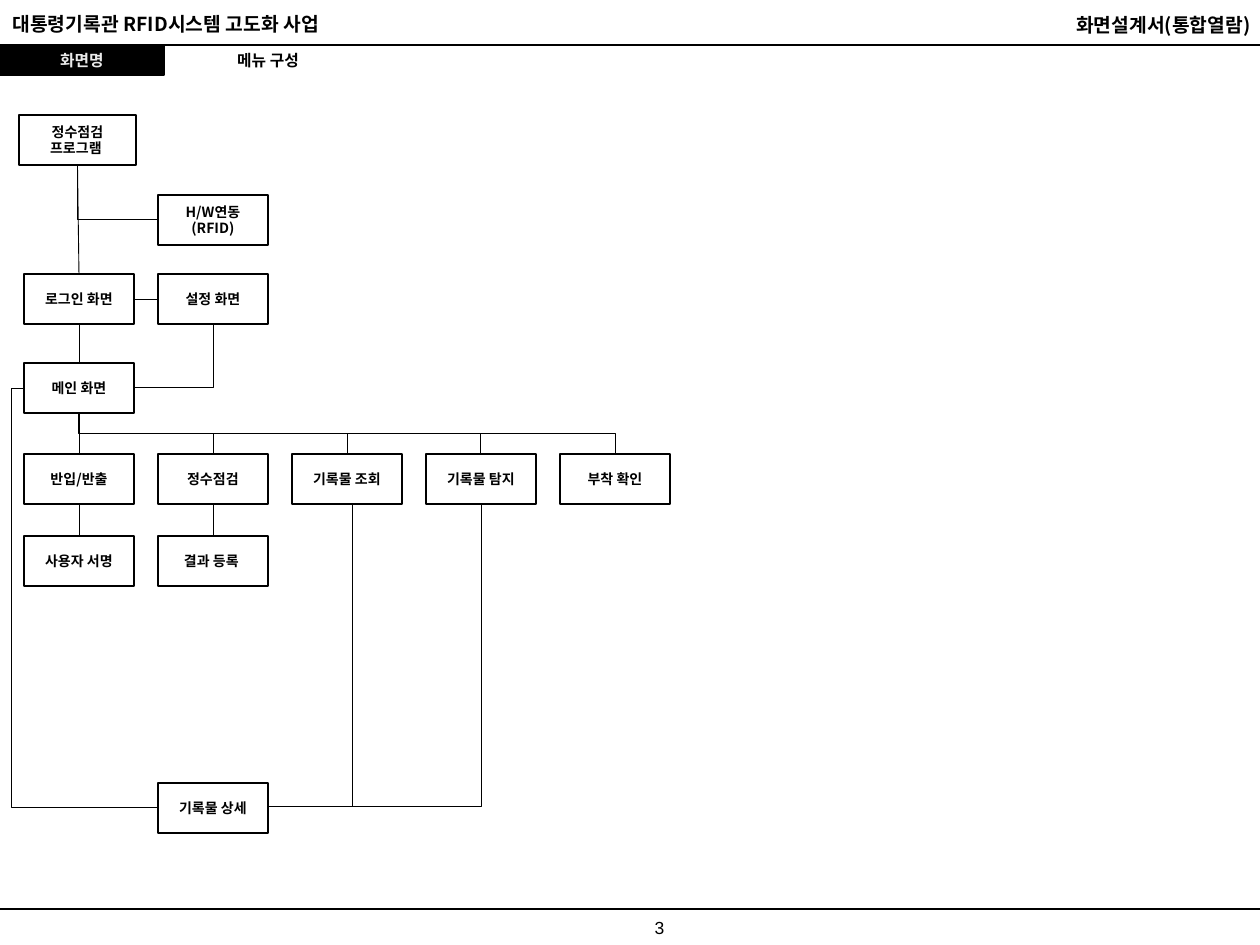
"""Build the menu structure slide of a screen design document."""
from lxml.etree import SubElement
from pptx import Presentation
from pptx.dml.color import RGBColor
from pptx.enum.shapes import MSO_CONNECTOR, MSO_SHAPE
from pptx.enum.text import MSO_ANCHOR, PP_ALIGN
from pptx.oxml.ns import qn
from pptx.util import Emu, Pt

PX = 914400 / 126
COLORS = {"black": "000000", "white": "FFFFFF", "light": "EAEAEA"}
KOREAN = "Noto Sans CJK KR"
LEFT, CENTER, RIGHT = PP_ALIGN.LEFT, PP_ALIGN.CENTER, PP_ALIGN.RIGHT


def write(sp, text, size, color="black", font=KOREAN, bold=True, align=CENTER, anchor=MSO_ANCHOR.MIDDLE):
    tf = sp.text_frame
    tf.text = text
    tf.word_wrap = True
    tf.vertical_anchor = anchor
    for p in tf.paragraphs:
        p.alignment = align
        for r in p.runs:
            r.font.size, r.font.bold, r.font.name = Pt(size), bold, font
            r.font.color.rgb = RGBColor.from_string(COLORS[color])
            SubElement(r.font._element, qn("a:ea")).set("typeface", font)


def connect(kind, points, width=0.5):
    line = s.shapes.add_connector(kind, *[Emu(round(n * PX)) for n in points])
    line.line.color.rgb = RGBColor.from_string(COLORS["black"])
    line.line.width = Pt(width)
    SubElement(line._element.spPr, qn("a:effectLst"))
    return line


prs = Presentation()
prs.slide_width, prs.slide_height = Emu(round(1260 * PX)), Emu(round(945 * PX))
s = prs.slides.add_slide(prs.slide_layouts[5])

for y in (45, 909):
    connect(MSO_CONNECTOR.STRAIGHT, (0, y, 1260, y), 0.75)

labels = [
    ("대통령기록관 RFID시스템 고도화 사업", (0, 6, 561, 37), 11, KOREAN, True, LEFT),
    ("화면설계서(통합열람)", (740, 7, 523, 36), 11, KOREAN, True, RIGHT),
    ("3", (601, 911, 117, 34), 10, "Arial", False, CENTER),
]
for text, area, size, font, bold, align in labels:
    sp = s.shapes.add_textbox(*[Emu(round(n * PX)) for n in area])
    write(sp, text, size, font=font, bold=bold, align=align, anchor=MSO_ANCHOR.TOP)

title = s.shapes.title
title.left, title.top, title.width, title.height = [Emu(round(n * PX)) for n in (164, 45, 208, 31)]
write(title, "메뉴 구성", 9)

COL = [24 + 134 * i for i in range(5)]
W, H = 110, 50
boxes = [
    ("name", "화면명", 0, 45, 164, 30),
    ("program", "정수점검\n프로그램 ", 19, 115, 117, H),
    ("hardware", "H/W연동\n(RFID)", COL[1], 195, W, H),
    ("login", "로그인 화면", COL[0], 274, W, H),
    ("settings", "설정 화면", COL[1], 274, W, H),
    ("main", "메인 화면", COL[0], 363, W, H),
    ("in_out", "반입/반출", COL[0], 454, W, H),
    ("check", "정수점검", COL[1], 454, W, H),
    ("search", "기록물 조회", COL[2], 454, W, H),
    ("detect", "기록물 탐지", COL[3], 454, W, H),
    ("attach", "부착 확인", COL[4], 454, W, H),
    ("sign", "사용자 서명", COL[0], 536, W, H),
    ("result", "결과 등록 ", COL[1], 536, W, H),
    ("detail", "기록물 상세", COL[1], 783, W, H),
]
shapes = {}
for key, text, *area in boxes:
    sp = s.shapes.add_shape(MSO_SHAPE.RECTANGLE, *[Emu(round(n * PX)) for n in area])
    header = key == "name"
    sp.shadow.inherit = False
    sp.fill.solid()
    sp.fill.fore_color.rgb = RGBColor.from_string(COLORS["black" if header else "white"])
    sp.line.color.rgb = RGBColor.from_string(COLORS["black"])
    sp.line.width = Pt(0.75 if header else 1)
    write(sp, text, 9 if header else 8, "light" if header else "black")
    shapes[key] = sp

straight = [
    ("program", 2, "login", 0),
    ("login", 2, "main", 0),
    ("login", 3, "settings", 1),
    ("main", 2, "in_out", 0),
    ("in_out", 2, "sign", 0),
    ("check", 2, "result", 0),
]
for start, start_side, end, end_side in straight:
    line = connect(MSO_CONNECTOR.STRAIGHT, (0, 0, 1, 1))
    line.begin_connect(shapes[start], start_side)
    line.end_connect(shapes[end], end_side)

corners = [
    (158, 219, 78, 165),
    (134, 388, 213, 324),
    (268, 807, 352, 503),
    (268, 807, 481, 504),
]
for points in corners:
    line = connect(MSO_CONNECTOR.ELBOW, points)
    line._element.spPr.find(qn("a:prstGeom")).set("prst", "bentConnector2")

x0, y0, y1 = COL[0] + W / 2, 413, 454
for x in COL[1:]:
    cx, cy = (x0 + x + W / 2) / 2, (y0 + y1) / 2
    half_w, half_h = (y1 - y0) / 2, (x + W / 2 - x0) / 2
    line = connect(MSO_CONNECTOR.ELBOW, (cx + half_w, cy - half_h, cx - half_w, cy + half_h))
    line._element.spPr.find(qn("a:xfrm")).set("rot", "16200000")

back = connect(MSO_CONNECTOR.ELBOW, (24, 388, 158, 807))
geom = back._element.spPr.find(qn("a:prstGeom"))
guides = geom.find(qn("a:avLst"))
SubElement(guides, qn("a:gd"), name="adj1", fmla="val -9700")

prs.save("out.pptx")
